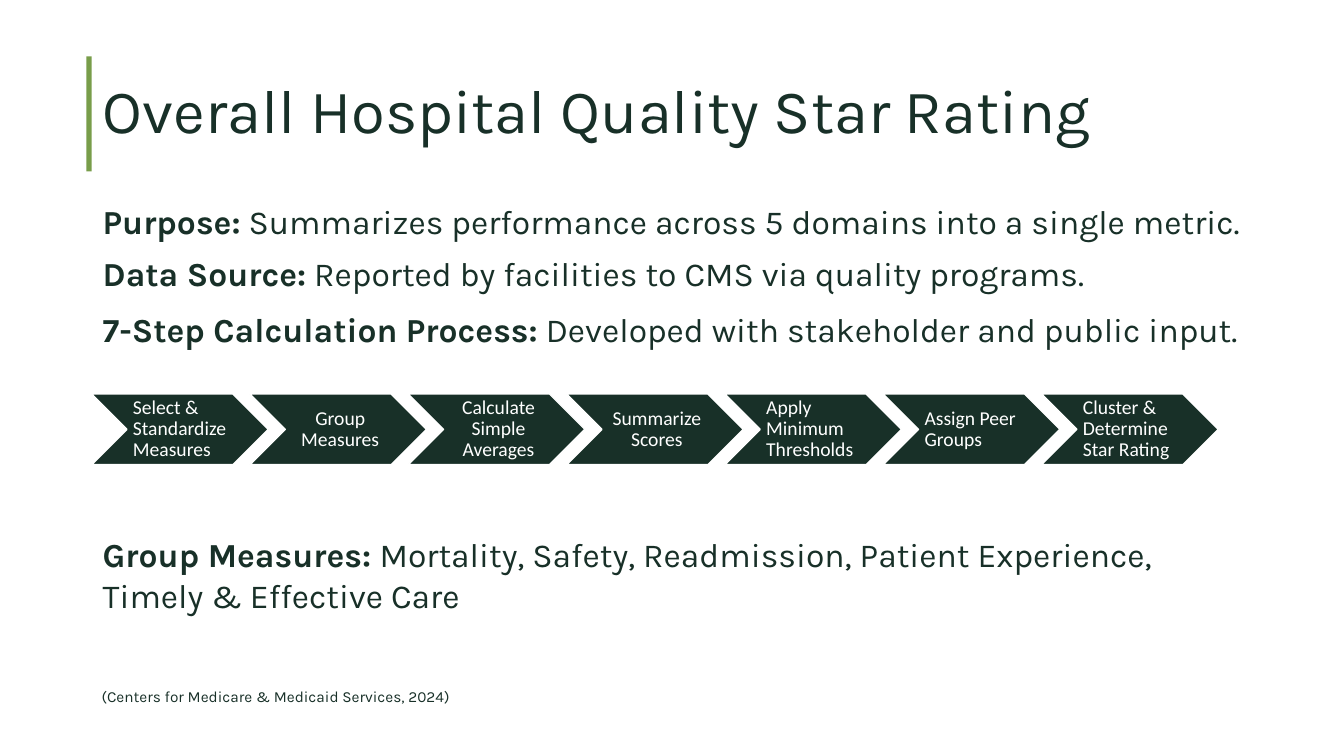
from lxml import etree
from pptx import Presentation
from pptx import util as u
from pptx.dml.color import RGBColor
from pptx.enum import shapes, text

DARK, GREEN, WHITE = "183028", "789D4A", "FFFFFF"
LEFT, CENTER = text.PP_ALIGN.LEFT, text.PP_ALIGN.CENTER

FACTS = [
    ("Purpose:", " Summarizes performance across 5 domains into a single metric.", 0.9),
    ("Data Source:", " Reported by facilities to CMS via quality programs.", 0.9),
    ("7-Step Calculation Process:", " Developed with stakeholder and public input.", 1.0),
]
GROUPS = [
    ("Group Measures: ",
     "Mortality, Safety, Readmission, Patient Experience, Timely & Effective Care", 1.0),
]
STEPS = [
    ("Select & Standardize Measures", LEFT),
    ("Group Measures", CENTER),
    ("Calculate Simple Averages", CENTER),
    ("Summarize Scores", CENTER),
    ("Apply Minimum Thresholds", LEFT),
    ("Assign Peer Groups", LEFT),
    ("Cluster & Determine Star Rating", LEFT),
]


def color(value):
    return RGBColor.from_string(value)


def box(left, top, width, height):
    return [u.Cm(length) for length in (left, top, width, height)]


def style(run, size, font="Karla", value=DARK, bold=False):
    run.font.size = u.Pt(size)
    run.font.name = font
    run.font.bold = bold
    run.font.color.rgb = color(value)


def add_title(slide, title):
    shape = slide.shapes.title
    shape.left, shape.top, shape.width, shape.height = box(2.34, 1.02, 29.21, 3.68)
    frame = shape.text_frame
    frame.text = title
    frame.vertical_anchor = text.MSO_ANCHOR.MIDDLE
    paragraph = frame.paragraphs[0]
    paragraph.alignment = LEFT
    paragraph.line_spacing = 0.9
    style(paragraph.runs[0], 44)


def add_shape(slide, kind, position, fill, line=None):
    shape = slide.shapes.add_shape(kind, *position)
    shape.shadow.inherit = False
    shape.fill.solid()
    shape.fill.fore_color.rgb = color(fill)
    if line:
        shape.line.color.rgb = color(line)
        shape.line.width = u.Pt(1)
    else:
        shape.line.fill.background()
    return shape


def add_text_box(slide, position):
    frame = slide.shapes.add_textbox(*position).text_frame
    frame.word_wrap = True
    return frame


def add_statements(slide, position, statements):
    frame = add_text_box(slide, position)
    for index, (label, detail, spacing) in enumerate(statements):
        paragraph = frame.paragraphs[0] if index == 0 else frame.add_paragraph()
        paragraph.line_spacing = spacing
        paragraph.space_before = u.Pt(10 if index else 0)
        paragraph.space_after = u.Pt(1)
        for content, bold in ((label, True), (detail, False)):
            run = paragraph.add_run()
            run.text = content
            style(run, 24, bold=bold)


def add_step(slide, index, label, alignment):
    position = box(2.31 + 3.99 * index, 9.93, 4.45, 1.78)
    shape = add_shape(slide, shapes.MSO_SHAPE.CHEVRON, position, DARK, WHITE)
    frame = shape.text_frame
    frame.text = label
    frame.word_wrap = True
    frame.vertical_anchor = text.MSO_ANCHOR.MIDDLE
    frame.margin_left = u.Cm(0.15)
    frame.margin_top = frame.margin_right = frame.margin_bottom = u.Cm(0.05)
    paragraph = frame.paragraphs[0]
    paragraph.alignment = alignment
    paragraph.line_spacing = 0.9
    style(paragraph.runs[0], 14, "Calibri", WHITE)


def main():
    presentation = Presentation()
    presentation.slide_width, presentation.slide_height = u.Cm(33.87), u.Cm(19.05)
    slide = presentation.slides.add_slide(presentation.slide_layouts[5])

    # Title with accent bar
    add_shape(slide, shapes.MSO_SHAPE.RECTANGLE, box(2.18, 1.42, 0.13, 2.9), GREEN)
    add_title(slide, "Overall Hospital Quality Star Rating")

    # Statements above and below the process
    add_statements(slide, box(2.34, 5.05, 29.24, 4.2), FACTS)
    add_statements(slide, box(2.34, 13.34, 29.24, 2.4), GROUPS)

    # Seven-step process
    for index, (label, alignment) in enumerate(STEPS):
        add_step(slide, index, label, alignment)

    # Citation
    frame = add_text_box(slide, box(2.31, 17.2, 17.93, 0.74))
    frame.text = "(Centers for Medicare & Medicaid Services, 2024)"
    style(frame.paragraphs[0].runs[0], 11)

    presentation.save("out.pptx")


if __name__ == "__main__":
    main()
